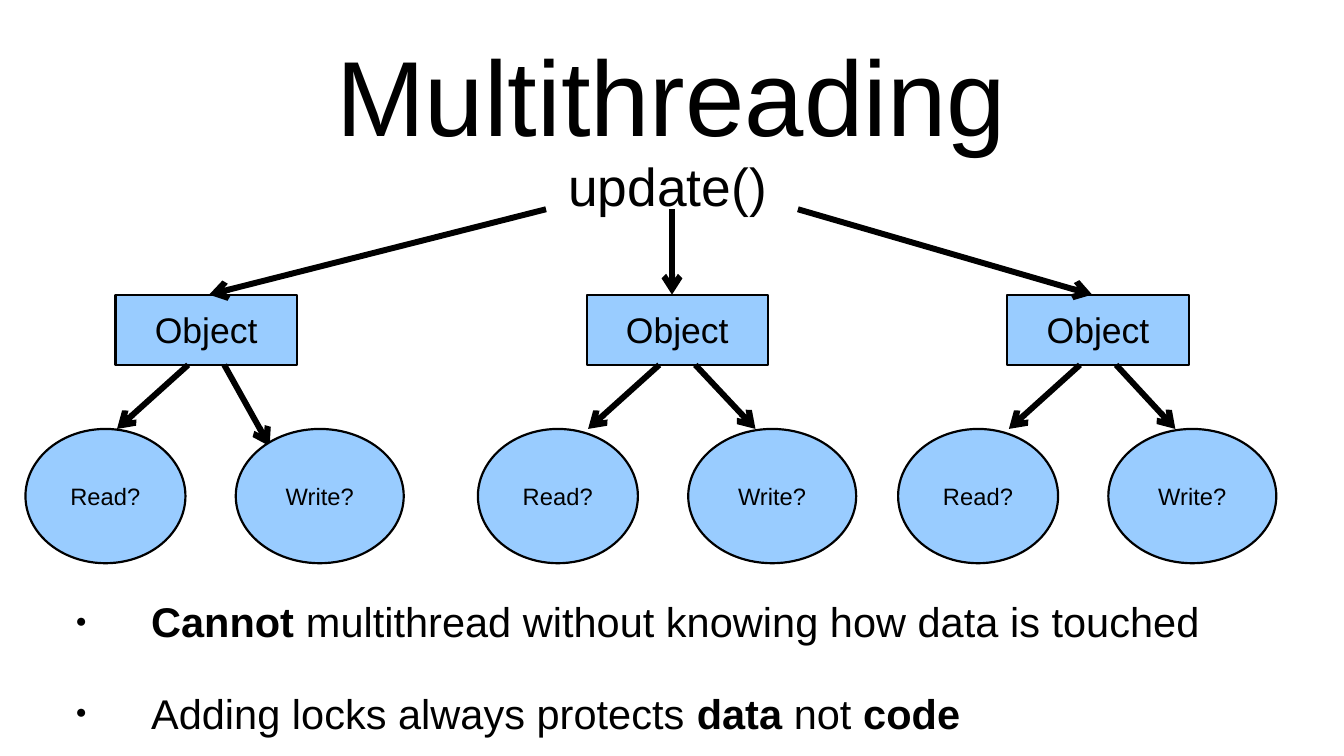
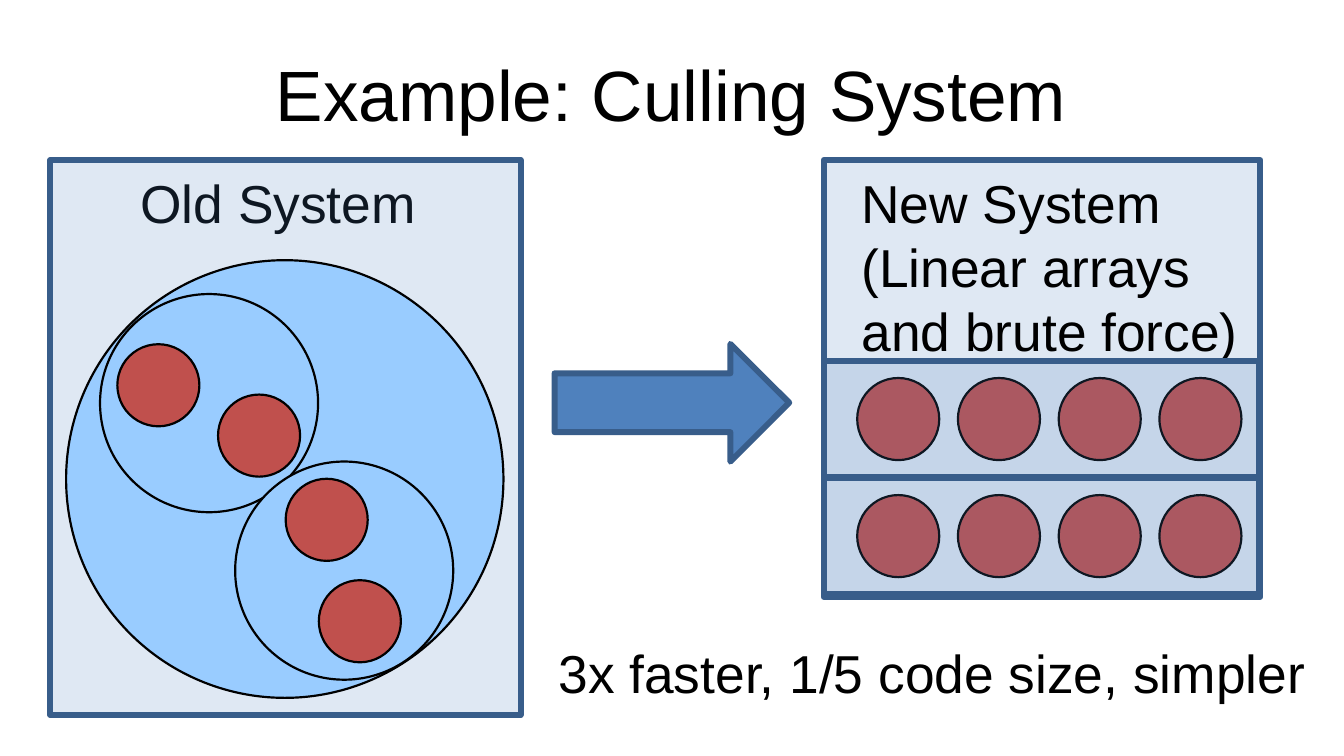
from dataclasses import dataclass

from lxml import etree
from pptx import Presentation
from pptx.dml import color as dml
from pptx.enum import shapes as es, text as et
from pptx.oxml import ns
from pptx.util import Pt

FONT = "Arial"
HUES = {
    "ink": "000000",
    "paper": "FFFFFF",
    "sky": "99CCFF",
    "red": "C0504D",
    "blue": "4F81BD",
    "edge": "385D8A",
}
KIND = es.MSO_SHAPE
MID = et.PP_ALIGN.CENTER
LEFT = et.PP_ALIGN.LEFT


@dataclass
class Box:
    x: float
    y: float
    w: float
    h: float

    def pts(self) -> tuple:
        return Pt(self.x), Pt(self.y), Pt(self.w), Pt(self.h)


@dataclass
class Look:
    fill: str
    line: str = "ink"
    width: float = 0
    alpha: int = 100


@dataclass
class Branch:
    """One object with its two questions; feed is where its arrow starts and ends."""
    box: float
    pair: float
    tip: tuple
    feed: tuple


SKY = Look("sky")
RED = Look("red")
GLASS = Look("blue", "edge", 2, 18)
SOLID = Look("blue", "edge", 2)

BRANCHES = [
    Branch(39, 8.6, (91, 150.5), (184.3, 70.6)),
    Branch(198, 161.3, (255, 144.7), (226.8, 226.8)),
    Branch(340, 303.1, (396.7, 144.7), (269.3, 368.6)),
]
POINTS = [
    [("Cannot", True), (" multithread without knowing how data is touched", False)],
    [("Adding locks always protects ", False), ("data", True),
     (" not ", False), ("code", True)],
]
NODES = [(22.3, 87.8, 147.6, SKY), (33.8, 99.2, 73.6, SKY), (79.4, 155.7, 73.6, SKY),
         (96.4, 161.5, 27.7, RED), (107.6, 195.7, 27.7, RED),
         (39.6, 116.1, 27.7, RED), (73.6, 133.1, 27.7, RED)]


def hue(name: str):
    return dml.RGBColor.from_string(HUES[name])


def add_tag(node, tag: str, **attrs: str):
    return etree.SubElement(node, ns.qn(tag), attrs)


def style(para, size: float, align=MID) -> None:
    para.alignment = align
    for run in para.runs:
        run.font.name, run.font.size = FONT, Pt(size)
        run.font.color.rgb = hue("ink")


def inset(frame, side: float = 0, top: float = 0) -> None:
    frame.margin_left = frame.margin_right = Pt(side)
    frame.margin_top = frame.margin_bottom = Pt(top)


def place(shape, box: Box) -> None:
    shape.left, shape.top, shape.width, shape.height = box.pts()


def draw(slide, kind, box: Box, look: Look, words: str = "", size: float = 12) -> None:
    shape = slide.shapes.add_shape(kind, *box.pts())
    shape.shadow.inherit = False
    shape.fill.solid()
    shape.fill.fore_color.rgb = hue(look.fill)
    if look.alpha < 100:
        clr = shape.fill._xPr.find(".//" + ns.qn("a:srgbClr"))
        add_tag(clr, "a:alpha", val=str(look.alpha * 1000))
    shape.line.color.rgb = hue(look.line)
    shape.line.width = Pt(look.width)
    if words:
        frame = shape.text_frame
        inset(frame)
        frame.vertical_anchor = et.MSO_ANCHOR.MIDDLE
        frame.text = words
        style(frame.paragraphs[0], size)


def arrow(slide, x1: float, y1: float, x2: float, y2: float) -> None:
    link = slide.shapes.add_connector(
        es.MSO_CONNECTOR.STRAIGHT, Pt(x1), Pt(y1), Pt(x2), Pt(y2))
    link.line.color.rgb = hue("ink")
    link.line.width = Pt(0)
    add_tag(link.line._get_or_add_ln(), "a:tailEnd", type="arrow")
    add_tag(link._element.spPr, "a:effectLst")


def label(slide, box: Box, words: str, align=LEFT, wrap: bool = True) -> None:
    frame = slide.shapes.add_textbox(*box.pts()).text_frame
    inset(frame, 7.2, 3.6)
    frame.word_wrap = wrap
    frame.auto_size = et.MSO_AUTO_SIZE.SHAPE_TO_FIT_TEXT
    frame.text = words
    for para in frame.paragraphs:
        style(para, 18, align)


def start(deck, layout: int, words: str, size: float):
    """Add a slide with its title."""
    slide = deck.slides.add_slide(deck.slide_layouts[layout])
    slide.background.fill.solid()
    slide.background.fill.fore_color.rgb = hue("paper")
    title = slide.shapes.title
    place(title, Box(22.5, 10, 408, 43))
    frame = title.text_frame
    inset(frame)
    frame.auto_size = et.MSO_AUTO_SIZE.NONE
    frame.vertical_anchor = et.MSO_ANCHOR.MIDDLE
    frame.text = words
    style(frame.paragraphs[0], size)
    return slide


def fill_list(body) -> None:
    place(body, Box(17, 201, 408, 48))
    frame = body.text_frame
    inset(frame)
    frame.auto_size = et.MSO_AUTO_SIZE.NONE
    for num, parts in enumerate(POINTS):
        para = frame.add_paragraph() if num else frame.paragraphs[0]
        props = para._p.get_or_add_pPr()
        props.set("marL", str(Pt(34)))
        props.set("indent", str(-Pt(25.5)))
        add_tag(add_tag(props, "a:buClr"), "a:srgbClr", val=HUES["ink"])
        add_tag(props, "a:buSzPct", val="45000")
        add_tag(props, "a:buChar", char="●")
        para.space_before, para.space_after = Pt(0), Pt(14.1)
        for words, bold in parts:
            run = para.add_run()
            run.text, run.font.bold = words, bold
        style(para, 14, LEFT)


def draw_branch(slide, branch: Branch) -> None:
    top, foot, oval = 99.4, 123.1, 144.7
    draw(slide, KIND.RECTANGLE, Box(branch.box, top, 61.2, foot - top), SKY, "Object")
    arrow(slide, branch.feed[0], 70.6, branch.feed[1], top)
    arrow(slide, branch.box + 24.5, foot, branch.box + 0.5, oval)
    arrow(slide, branch.box + 36.7, foot, *branch.tip)
    for step, wide, words in ((0, 54, "Read?"), (71, 56.7, "Write?")):
        draw(slide, KIND.OVAL, Box(branch.pair + step, oval, wide, 45.3), SKY, words, 8)


def thread_slide(deck) -> None:
    slide = start(deck, 1, "Multithreading", 36)
    label(slide, Box(184.3, 48.2, 82, 28.8), "update()", MID)
    for branch in BRANCHES:
        draw_branch(slide, branch)
    fill_list(slide.placeholders[1])


def cull_slide(deck) -> None:
    slide = start(deck, 5, "Example: Culling System", 24)
    label(slide, Box(40.3, 54, 107.3, 28.8), "Old System", wrap=False)
    draw(slide, KIND.RECTANGLE, Box(17, 54, 158.7, 187.2), GLASS)
    draw(slide, KIND.RIGHT_ARROW, Box(187.2, 116, 79.2, 39.7), SOLID)
    draw(slide, KIND.RECTANGLE, Box(278, 54, 147.4, 147.4), GLASS)
    label(slide, Box(283.7, 54, 141.8, 72),
          "New System\n(Linear arrays and brute force)")
    for x, y, size, look in NODES:
        draw(slide, KIND.OVAL, Box(x, y, size, size), look)
    for row in range(2):
        top = 121.9 + 39.5 * row
        for col in range(4):
            draw(slide, KIND.OVAL, Box(289.3 + 34 * col, top + 5.6, 27.7, 27.7), RED)
        draw(slide, KIND.RECTANGLE, Box(278, top, 146.8, 39), GLASS)
    label(slide, Box(181.4, 212.4, 272.2, 28.8), "3x faster, 1/5 code size, simpler")


def main() -> None:
    deck = Presentation()
    deck.slide_width, deck.slide_height = Pt(453.6), Pt(255)
    thread_slide(deck)
    cull_slide(deck)
    deck.save("out.pptx")


if __name__ == "__main__":
    main()
